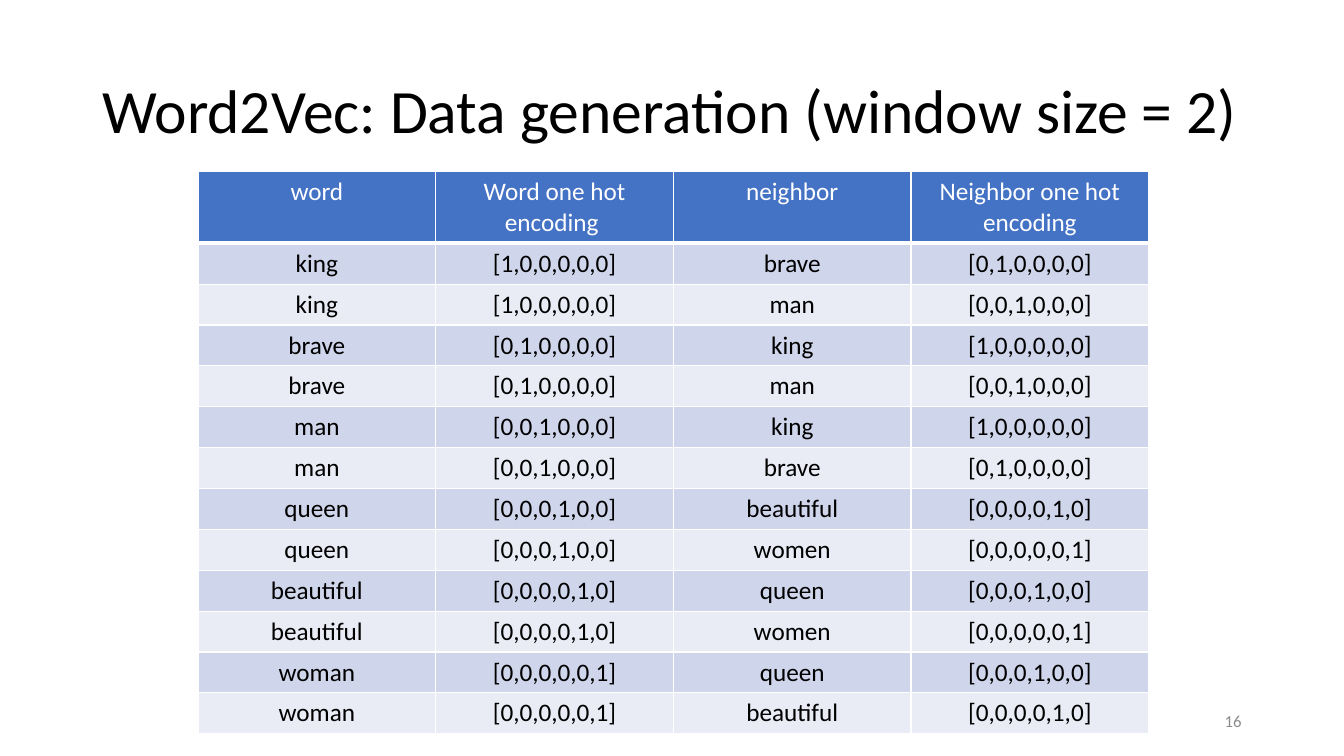
from lxml import etree
from pptx import Presentation
from pptx import util as u
from pptx.dml import color
from pptx.enum import text
from pptx.oxml import ns

COLORS = {
    "ink": "000000",
    "white": "FFFFFF",
    "muted": "8C8C8C",
    "header": "4472C4",
    "band_dark": "CFD5EA",
    "band_light": "E9EBF5",
}


class Deck:
    font = "Calibri"

    def __init__(self, width, height):
        self.presentation = Presentation()
        self.presentation.slide_width = u.Cm(width)
        self.presentation.slide_height = u.Cm(height)
        self.slide = self.presentation.slides.add_slide(self.presentation.slide_layouts[6])

    def rgb(self, name):
        return color.RGBColor.from_string(COLORS[name])

    def wording(self, frame, words, size, ink, align):
        paragraph = frame.paragraphs[0]
        paragraph.alignment = align
        run = paragraph.add_run()
        run.text = words
        run.font.name = self.font
        run.font.size = u.Pt(size)
        run.font.bold = False
        run.font.color.rgb = self.rgb(ink)
        return paragraph

    def text(self, box, words, size, ink, align=text.PP_ALIGN.LEFT):
        frame = self.slide.shapes.add_textbox(*map(u.Cm, box)).text_frame
        frame.word_wrap = True
        frame.vertical_anchor = text.MSO_ANCHOR.MIDDLE
        return self.wording(frame, words, size, ink, align)

    def border(self, side, width):
        line = etree.Element(ns.qn(f"a:{side}"), w=str(int(u.Pt(width))))
        fill = etree.SubElement(line, ns.qn("a:solidFill"))
        etree.SubElement(fill, ns.qn("a:srgbClr"), val=COLORS["white"])
        return line

    def cell(self, cell, words, fill, ink, bottom):
        self.wording(cell.text_frame, words, 18, ink, text.PP_ALIGN.CENTER)
        cell.fill.solid()
        cell.fill.fore_color.rgb = self.rgb(fill)
        widths = {"lnL": 1, "lnR": 1, "lnT": 1, "lnB": bottom}
        for position, (side, width) in enumerate(widths.items()):
            cell._tc.get_or_add_tcPr().insert(position, self.border(side, width))

    def table(self, box, rows, header_height, row_height):
        grid = self.slide.shapes.add_table(len(rows), len(rows[0]), *map(u.Cm, box)).table
        for index, row in enumerate(rows):
            grid.rows[index].height = u.Cm(row_height if index else header_height)
            band = "band_dark" if index % 2 else "band_light"
            style = (band, "ink", 1) if index else ("header", "white", 3)
            for column, words in enumerate(row):
                self.cell(grid.cell(index, column), words, *style)


VOCABULARY = [["king"], ["brave"], ["man"], ["queen"], ["beautiful"], ["woman", "women"]]
NEIGHBORS = {
    "king": ["brave", "man"],
    "brave": ["king", "man"],
    "man": ["king", "brave"],
    "queen": ["beautiful", "women"],
    "beautiful": ["queen", "women"],
    "woman": ["queen", "beautiful"],
}


def one_hot(word):
    return "[" + ",".join(str(int(word in forms)) for forms in VOCABULARY) + "]"


headings = ["word", "Word one hot encoding ", "neighbor", "Neighbor one hot encoding"]
training_pairs = [
    [word, one_hot(word), neighbor, one_hot(neighbor)]
    for word, neighbors in NEIGHBORS.items()
    for neighbor in neighbors
]

deck = Deck(33.87, 19.05)
title = deck.text((2.33, 1.01, 29.21, 3.68), "Word2Vec: Data generation (window size = 2)", 44, "ink")
title.line_spacing = 0.9
deck.text((23.92, 17.66, 7.62, 1.01), "16", 12, "muted", text.PP_ALIGN.RIGHT)
deck.table((4.99, 4.33, 23.96, 14.16), [headings] + training_pairs, 1.8, 1.03)
deck.presentation.save("out.pptx")
